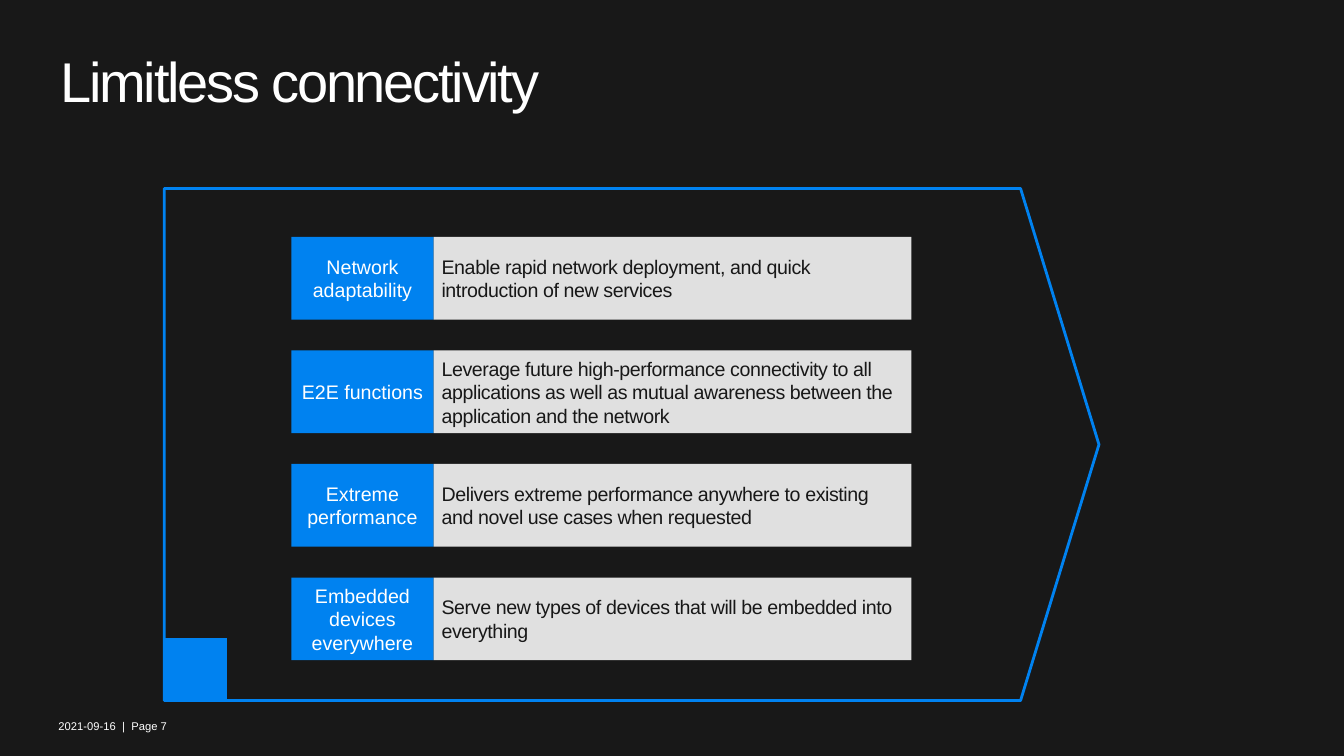
from dataclasses import dataclass

from pptx import Presentation
from pptx.dml.color import RGBColor
from pptx.enum.shapes import MSO_SHAPE as Shape
from pptx.enum.text import MSO_ANCHOR as Anchor, MSO_AUTO_SIZE as AutoSize, PP_ALIGN as Align
from pptx.util import Inches, Pt


@dataclass(frozen=True)
class Theme:
    """Colours, font and type sizes of the deck."""
    dark: str = "181818"
    white: str = "FFFFFF"
    blue: str = "0082F0"
    grey: str = "E0E0E0"
    font: str = "Arial"
    title: int = 40
    body: int = 14
    footer: int = 8


@dataclass(frozen=True)
class Grid:
    """Columns and rows of the benefit list, in inches."""
    left: float = 2.89
    label: float = 1.41
    detail: float = 4.74
    top: float = 2.35
    bottom: float = 6.55
    height: float = 0.82

    def row_top(self, row, count):
        """Return the top of a row when count rows share the height evenly."""
        return self.top + row * (self.bottom - self.height - self.top) / (count - 1)


THEME = Theme()
GRID = Grid()
BENEFITS = [
    ("Network adaptability",
     "Enable rapid network deployment, and quick introduction of new services"),
    ("E2E functions",
     "Leverage future high-performance connectivity to all applications as well as "
     "mutual awareness between the application and the network"),
    ("Extreme performance",
     "Delivers extreme performance anywhere to existing and novel use cases when requested"),
    ("Embedded devices everywhere",
     "Serve new types of devices that will be embedded into everything"),
]


def colour(code):
    """Turn a hex code into a colour."""
    return RGBColor.from_string(code)


def inches(*lengths):
    """Turn numbers into slide lengths."""
    return [Inches(length) for length in lengths]


def write(box, text, *, size, color, align=Align.LEFT, anchor=Anchor.MIDDLE,
          tracking=0, leading=1.0, insets=(0.08, 0.04), wrap=True):
    """Put one formatted paragraph into a box."""
    frame = box.text_frame
    frame.auto_size = AutoSize.NONE
    frame.word_wrap = wrap
    frame.vertical_anchor = anchor
    frame.margin_left = frame.margin_right = Inches(insets[0])
    frame.margin_top = frame.margin_bottom = Inches(insets[1])
    para = frame.paragraphs[0]
    para.alignment = align
    para.line_spacing = leading
    para.space_before = Pt(0)
    span = para.add_run()
    span.text = text
    span.font.name = THEME.font
    span.font.size = Pt(size)
    span.font.color.rgb = colour(color)
    if tracking:
        span.font._element.set("spc", str(round(tracking * 100)))


def add_block(page, kind, place, fill=None, line=None):
    """Add a flat shape with an optional fill and outline."""
    block = page.shapes.add_shape(kind, *inches(*place))
    block.shadow.inherit = False
    if fill:
        block.fill.solid()
        block.fill.fore_color.rgb = colour(fill)
    else:
        block.fill.background()
    if line:
        block.line.color.rgb = colour(line)
        block.line.width = Pt(2)
    else:
        block.line.fill.background()
    return block


def add_title(page, text):
    """Place and fill the title placeholder."""
    title = page.shapes.title
    title.left, title.top, title.width, title.height = inches(0.52, 0.52, 11.63, 1.18)
    write(title, text, size=THEME.title, color=THEME.white, anchor=Anchor.TOP,
          tracking=-1.6, leading=0.85)


def add_footer(page, text):
    """Add the date and page line."""
    box = page.shapes.add_textbox(*inches(0.58, 7.14, 1.13, 0.13))
    write(box, text, size=THEME.footer, color=THEME.white, anchor=Anchor.TOP,
          insets=(0, 0), wrap=False)


def add_benefit(page, top, label, detail):
    """Add one row: a blue label and its grey description."""
    name = add_block(page, Shape.RECTANGLE, (GRID.left, top, GRID.label, GRID.height), THEME.blue)
    write(name, label, size=THEME.body, color=THEME.white, align=Align.CENTER)
    place = (GRID.left + GRID.label, top, GRID.detail, GRID.height)
    panel = add_block(page, Shape.RECTANGLE, place, THEME.grey)
    write(panel, detail, size=THEME.body, color=THEME.dark, tracking=-0.3)


def add_arrow_frame(page, left, top, width, height, corner):
    """Add the pentagon outline with a square in its lower left corner."""
    square = (left, top + height - corner, corner, corner)
    add_block(page, Shape.RECTANGLE, square, THEME.blue)
    arrow = add_block(page, Shape.PENTAGON, (left, top, width, height), line=THEME.blue)
    arrow.adjustments[0] = 0.153


def main():
    """Build and save the slide."""
    deck = Presentation()
    deck.slide_width, deck.slide_height = inches(13.33, 7.5)
    page = deck.slides.add_slide(deck.slide_layouts[5])
    page.background.fill.solid()
    page.background.fill.fore_color.rgb = colour(THEME.dark)
    add_title(page, "Limitless connectivity")
    for row, (label, detail) in enumerate(BENEFITS):
        add_benefit(page, GRID.row_top(row, len(BENEFITS)), label, detail)
    add_arrow_frame(page, 1.63, 1.87, 9.27, 5.08, corner=0.62)
    add_footer(page, "2021-09-16  |  Page 7")
    deck.save("out.pptx")


if __name__ == "__main__":
    main()
